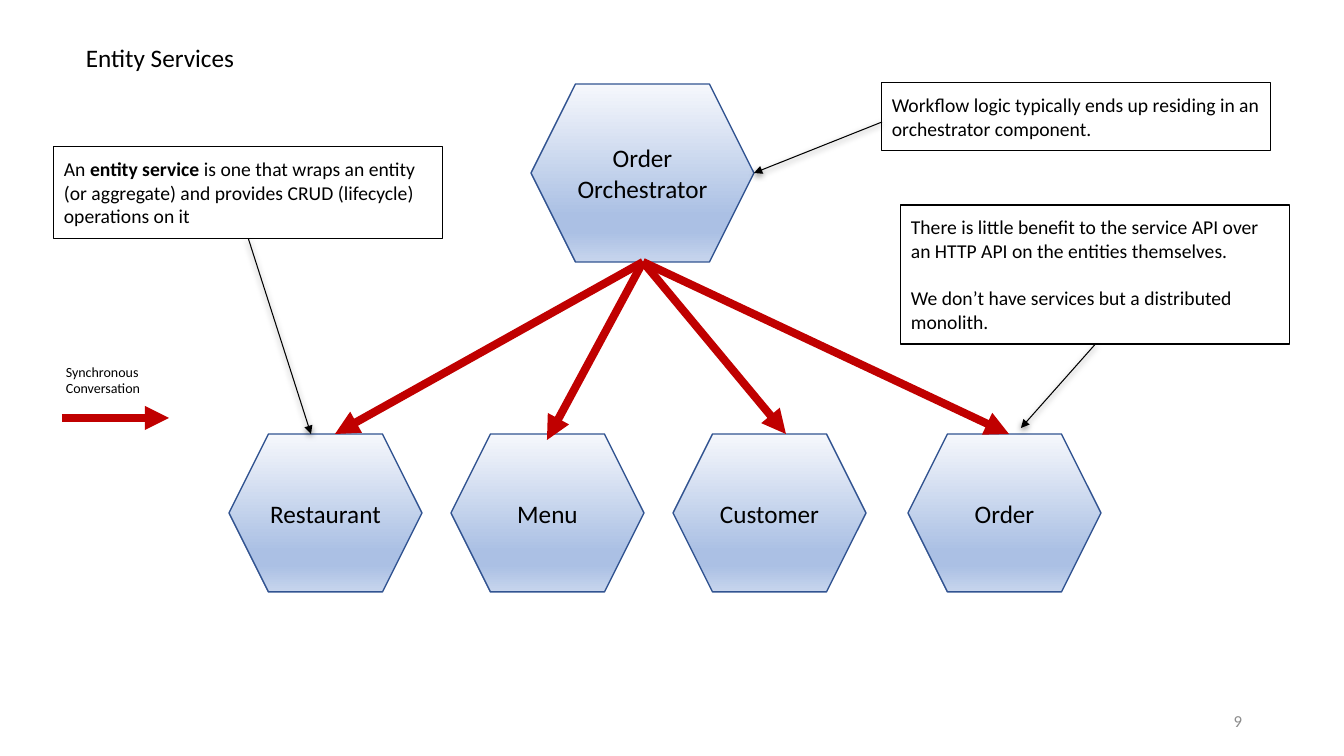
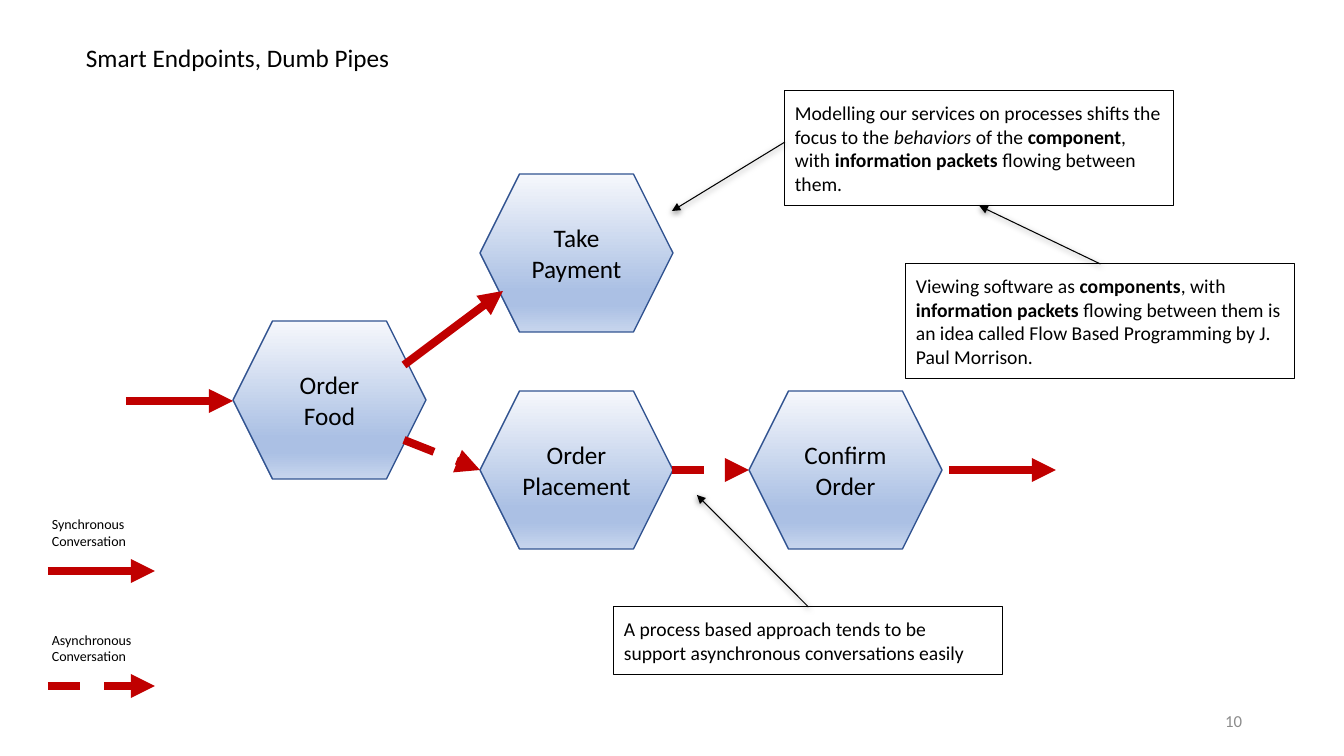
from pptx import Presentation, util as u
from pptx.dml.color import RGBColor
from pptx.enum import dml, shapes, text
from pptx.oxml import parse_xml
from pptx.oxml.ns import nsdecls, qn

PX = 914400 / 100.8
FONT = "Calibri"
INK = {"text": "000000", "flow": "C00000", "edge": "325491", "page": "8C8C8C"}
STOPS = [(0, "F6F8FC"), (74, "ABC0E4"), (83, "ABC0E4"), (100, "C7D5ED")]
HEX = (193, 158)
NOTE_W = 389
KEY_W = 107
SHADOW = ('<a:outerShdw blurRad="57150" dist="19050" dir="5400000" algn="ctr" rotWithShape="0">'
          '<a:srgbClr val="000000"><a:alpha val="50000"/></a:srgbClr></a:outerShdw>')

# What each slide holds: hexagons (label, box), flows (from, to, dashed),
# notes (left, top, height, paragraphs of runs), pointers (from, to), keys.
# A pointer end is a point, or "note" with a note's index and side.
PAGES = [
    {
        "title": "Entity Services",
        "hexes": [
            (["Restaurant"], (229, 434, *HEX)),
            (["Menu"], (451, 434, *HEX)),
            (["Customer"], (673, 434, *HEX)),
            (["Order"], (908, 434, *HEX)),
            (["Order", "Orchestrator"], (531, 84, 223, 178)),
        ],
        "flows": [((643, 262), end, False)
                  for end in [(335, 434), (547, 440), (786, 434), (1009, 434)]],
        "notes": [
            (54, 147, 92, [[("An ", ""), ("entity service", "b"),
                            (" is one that wraps an entity (or aggregate) and provides "
                             "CRUD (lifecycle) operations on it", "")]]),
            (882, 83, 68, [[("Workflow logic typically ends up residing in an "
                             "orchestrator component.", "")]]),
            (901, 205, 139, [[("There is little benefit to the service API over an HTTP API "
                               "on the entities themselves.", "")],
                             [("We don’t have services but a distributed monolith.", "")]]),
        ],
        "points": [(("note", 0, 2), (311, 434)), ((882, 122), (754, 173)),
                   (("note", 2, 2), (1021, 428))],
        "keys": [("Synchronous Conversation", 62, 418, False)],
    },
    {
        "title": "Smart Endpoints, Dumb Pipes",
        "hexes": [
            (["Order Food"], (233, 321, *HEX)),
            (["Take Payment"], (480, 174, *HEX)),
            (["Order Placement"], (480, 391, *HEX)),
            (["Confirm Order"], (749, 391, *HEX)),
        ],
        "flows": [
            ((404, 365), (503, 291), False),
            ((404, 440), (480, 470), True),
            ((672, 470), (749, 470), True),
            ((126, 401), (233, 401), False),
            ((949, 470), (1056, 470), False),
        ],
        "notes": [
            (785, 91, 115, [[("Modelling our services on processes shifts the focus to the ", ""),
                             ("behaviors", "i"), (" of the ", ""), ("component", "b"),
                             (", with ", ""), ("information packets", "b"),
                             (" flowing between them.", "")]]),
            (906, 264, 115, [[("Viewing software as ", ""), ("components", "b"),
                              (", with ", ""), ("information packets", "b"),
                              (" flowing between them is an idea called Flow Based "
                               "Programming by J. Paul Morrison.", "")]]),
            (614, 607, 68, [[("A process based approach tends to be support asynchronous "
                              "conversations easily", "")]]),
        ],
        "points": [((785, 142), (672, 211)), (("note", 1, 0), ("note", 0, 2)),
                   (("note", 2, 0), (697, 495))],
        "keys": [("Synchronous Conversation", 48, 571, False),
                 ("Asynchronous Conversation", 48, 686, True)],
    },
]


def box(sld, at, paras, size, kind=None, align="LEFT", mid=False, pad=5, ink="text"):
    """Add a text box, or a preset shape when kind is given, with its runs."""
    area = [round(v * PX) for v in at]
    if kind is None:
        shp = sld.shapes.add_textbox(*area)
    else:
        shp = sld.shapes.add_shape(kind, *area)
        shp.shadow.inherit = False
    frame = shp.text_frame
    frame.word_wrap = True
    frame.margin_top = frame.margin_bottom = round(pad * PX)
    frame.vertical_anchor = text.MSO_ANCHOR.MIDDLE if mid else text.MSO_ANCHOR.TOP
    if not mid:
        frame.auto_size = text.MSO_AUTO_SIZE.SHAPE_TO_FIT_TEXT
    for i, runs in enumerate(paras):
        para = frame.add_paragraph() if i else frame.paragraphs[0]
        para.alignment = getattr(text.PP_ALIGN, align)
        if i and not mid:
            para.space_before = u.Pt(17)
        for words, style in runs:
            run = para.add_run()
            run.text = words
            font = run.font
            font.name, font.size = FONT, u.Pt(size)
            font.bold, font.italic = style == "b", style == "i"
            font.color.rgb = RGBColor.from_string(INK[ink])
    return shp


def link(sld, start, end, ink, width, dash=False, fx="", notes=()):
    """Add an arrow between two points or note sides."""
    ends = [(0, 0) if p[0] == "note" else p for p in (start, end)]
    con = sld.shapes.add_connector(shapes.MSO_CONNECTOR.STRAIGHT,
                                   *[round(v * PX) for p in ends for v in p])
    for spot, join in ((start, con.begin_connect), (end, con.end_connect)):
        if spot[0] == "note":
            join(notes[spot[1]], spot[2])
    con.line.color.rgb = RGBColor.from_string(INK[ink])
    con.line.width = u.Pt(width)
    if dash:
        con.line.dash_style = dml.MSO_LINE.DASH
    props = con.element.spPr
    props.find(qn("a:ln")).append(parse_xml(f'<a:tailEnd {nsdecls("a")} type="triangle"/>'))
    props.append(parse_xml(f'<a:effectLst {nsdecls("a")}>{fx}</a:effectLst>'))


prs = Presentation()
prs.slide_width, prs.slide_height = round(1344 * PX), round(756 * PX)

for num, page in enumerate(PAGES, 9):
    sld = prs.slides.add_slide(prs.slide_layouts[6])

    # Page number and title
    box(sld, (950, 701, 302, 40), [[(str(num), "")]], 12, align="RIGHT", mid=True, ink="page")
    box(sld, (76, 32, 405, 50), [[(page["title"], "")]], 18, pad=10)

    # Services
    for lines, at in page["hexes"]:
        shp = box(sld, at, [[(line, "")] for line in lines], 18,
                  shapes.MSO_SHAPE.HEXAGON, "CENTER", mid=True)
        shp.fill.gradient()
        shp.fill.gradient_angle = 270
        old = shp.element.spPr.find(qn("a:gradFill")).find(qn("a:gsLst"))
        stops = "".join(f'<a:gs pos="{pos * 1000}"><a:srgbClr val="{col}"/></a:gs>'
                        for pos, col in STOPS)
        old.getparent().replace(old, parse_xml(f'<a:gsLst {nsdecls("a")}>{stops}</a:gsLst>'))
        shp.line.color.rgb = RGBColor.from_string(INK["edge"])
        shp.line.width = u.Pt(1)

    # Conversations
    for start, end, dash in page["flows"]:
        link(sld, start, end, "flow", 5.75, dash)

    # Notes and their pointers
    notes = []
    for left, top, high, paras in page["notes"]:
        note = box(sld, (left, top, NOTE_W, high), paras, 14,
                   shapes.MSO_SHAPE.RECTANGLE, pad=10)
        note.fill.background()
        note.line.color.rgb = RGBColor.from_string(INK["text"])
        note.line.width = u.Pt(0.75)
        notes.append(note)
    for start, end in page["points"]:
        link(sld, start, end, "text", 0.75, fx=SHADOW, notes=notes)

    # Key
    for label, x, y, dash in page["keys"]:
        link(sld, (x, y), (x + KEY_W, y), "flow", 5.75, dash)
        box(sld, (x - 6, y - 60, KEY_W, 44), [[(label, "")]], 10)

prs.save("out.pptx")
